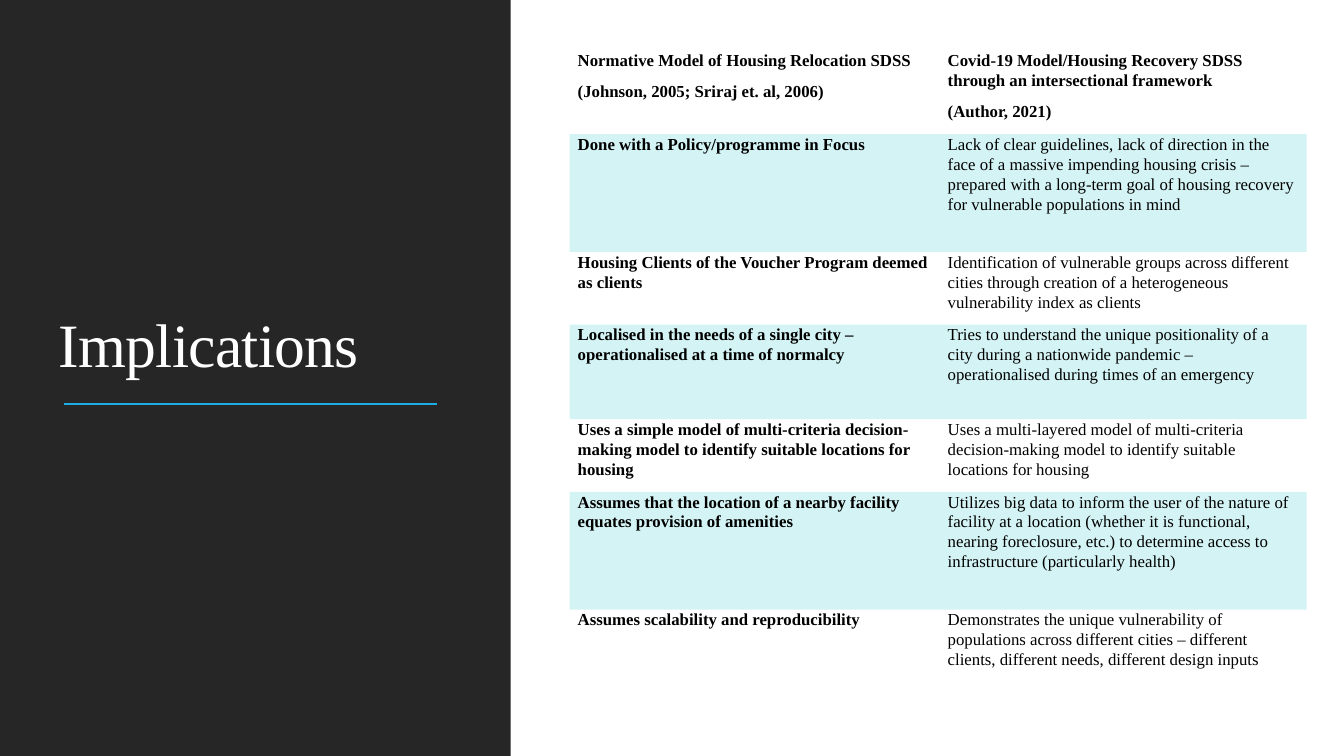
"""Builds the Implications slide: a dark title panel beside a comparison table."""
from lxml import etree
from pptx import Presentation
from pptx import util as u
from pptx.dml.color import RGBColor
from pptx.enum import shapes, text
from pptx.oxml.ns import qn

TITLE = "Implications"
ROWS = [
    ("Normative Model of Housing Relocation SDSS\n(Johnson, 2005; Sriraj et. al, 2006)",
     "Covid-19 Model/Housing Recovery SDSS through an intersectional framework\n(Author, 2021)"),
    ("Done with a Policy/programme in Focus",
     "Lack of clear guidelines, lack of direction in the face of a massive impending housing crisis – "
     "prepared with a long-term goal of housing recovery for vulnerable populations in mind"),
    ("Housing Clients of the Voucher Program deemed as clients",
     "Identification of vulnerable groups across different cities through creation of a heterogeneous "
     "vulnerability index as clients"),
    ("Localised in the needs of a single city – operationalised at a time of normalcy",
     "Tries to understand the unique positionality of a city during a nationwide pandemic – "
     "operationalised during times of an emergency"),
    ("Uses a simple model of multi-criteria decision-making model to identify suitable locations for housing",
     "Uses a multi-layered model of multi-criteria decision-making model to identify suitable "
     "locations for housing"),
    ("Assumes that the location of a nearby facility equates provision of amenities",
     "Utilizes big data to inform the user of the nature of facility at a location (whether it is "
     "functional, nearing foreclosure, etc.) to determine access to infrastructure (particularly health)"),
    ("Assumes scalability and reproducibility",
     "Demonstrates the unique vulnerability of populations across different cities – different clients, "
     "different needs, different design inputs"),
]
COLORS = {"panel": "262626", "title": "FFFFFF", "rule": "1CADE4", "text": "000000", "band": "28C4CC"}
FONT = "Times New Roman"
SLIDE_W, SLIDE_H = 13.33, 7.5
PANEL_W = 0.38 * SLIDE_W
TITLE_BOX = (0.48, 0.7, 4, 3.13)
RULE_X, RULE_W, RULE_Y = 0.63, 3.7, 4.01
TABLE_X, TABLE_Y = 5.65, 0.5
COL_WIDTHS = (3.67, 3.64)
ROW_HEIGHTS = (0.83, 1.17, 0.72, 0.94, 0.72, 1.17, 0.94)
BAND_ALPHA = "20000"
NO_STYLE = "{2D5ABB26-0587-4C30-8999-92F81FD0307C}"


def rgb(name):
    return RGBColor.from_string(COLORS[name])


def style_text(tf, size, color, bold, spacing, after=0):
    for p in tf.paragraphs:
        p.alignment = text.PP_ALIGN.LEFT
        p.line_spacing, p.space_after = spacing, u.Pt(after)
        for r in p.runs:
            r.font.name, r.font.size, r.font.bold = FONT, u.Pt(size), bold
            r.font.color.rgb = rgb(color)


def add_panel(s):
    sp = s.shapes.add_shape(shapes.MSO_SHAPE.RECTANGLE, 0, 0, u.Inches(PANEL_W), u.Inches(SLIDE_H))
    sp.shadow.inherit = False
    sp.fill.solid()
    sp.fill.fore_color.rgb = rgb("panel")
    sp.line.fill.background()


def add_title(s):
    sp = s.shapes.title
    sp.element.getparent().append(sp.element)
    sp.left, sp.top, sp.width, sp.height = map(u.Inches, TITLE_BOX)
    tf = sp.text_frame
    tf.text = TITLE
    tf.word_wrap = True
    tf.vertical_anchor = text.MSO_ANCHOR.BOTTOM
    style_text(tf, 44, "title", False, 0.9)
    tf.paragraphs[0].runs[0].font._element.set("spc", "-50")


def add_rule(s):
    line = s.shapes.add_connector(shapes.MSO_CONNECTOR.STRAIGHT,
                                  *map(u.Inches, (RULE_X, RULE_Y, RULE_X + RULE_W, RULE_Y)))
    line.line.color.rgb = rgb("rule")
    line.line.width = u.Pt(1.5)
    etree.SubElement(line.element.spPr, qn("a:effectLst"))


def fill_cell(cell, banded):
    if not banded:
        cell.fill.background()
        return
    cell.fill.solid()
    cell.fill.fore_color.rgb = rgb("band")
    color = next(cell._tc.tcPr.iter(qn("a:srgbClr")))
    etree.SubElement(color, qn("a:alpha")).set("val", BAND_ALPHA)


def add_comparison(s):
    box = (TABLE_X, TABLE_Y, sum(COL_WIDTHS), sum(ROW_HEIGHTS))
    frame = s.shapes.add_table(len(ROWS), len(COL_WIDTHS), *map(u.Inches, box))
    next(frame.element.iter(qn("a:tableStyleId"))).text = NO_STYLE
    table = frame.table
    table.horz_banding = False
    for col, width in zip(table.columns, COL_WIDTHS):
        col.width = u.Inches(width)
    for i, (row, height) in enumerate(zip(ROWS, ROW_HEIGHTS)):
        table.rows[i].height = u.Inches(height)
        for j, words in enumerate(row):
            cell = table.cell(i, j)
            cell.margin_left = cell.margin_right = u.Inches(0.08)
            cell.margin_top = cell.margin_bottom = 0
            cell.text_frame.text = words
            style_text(cell.text_frame, 12, "text", i == 0 or j == 0, 1.07, 8)
            fill_cell(cell, i % 2 == 1)


def main():
    prs = Presentation()
    prs.slide_width, prs.slide_height = u.Inches(SLIDE_W), u.Inches(SLIDE_H)
    s = prs.slides.add_slide(prs.slide_layouts[5])
    add_panel(s)
    add_title(s)
    add_rule(s)
    add_comparison(s)
    prs.save("out.pptx")


if __name__ == "__main__":
    main()
